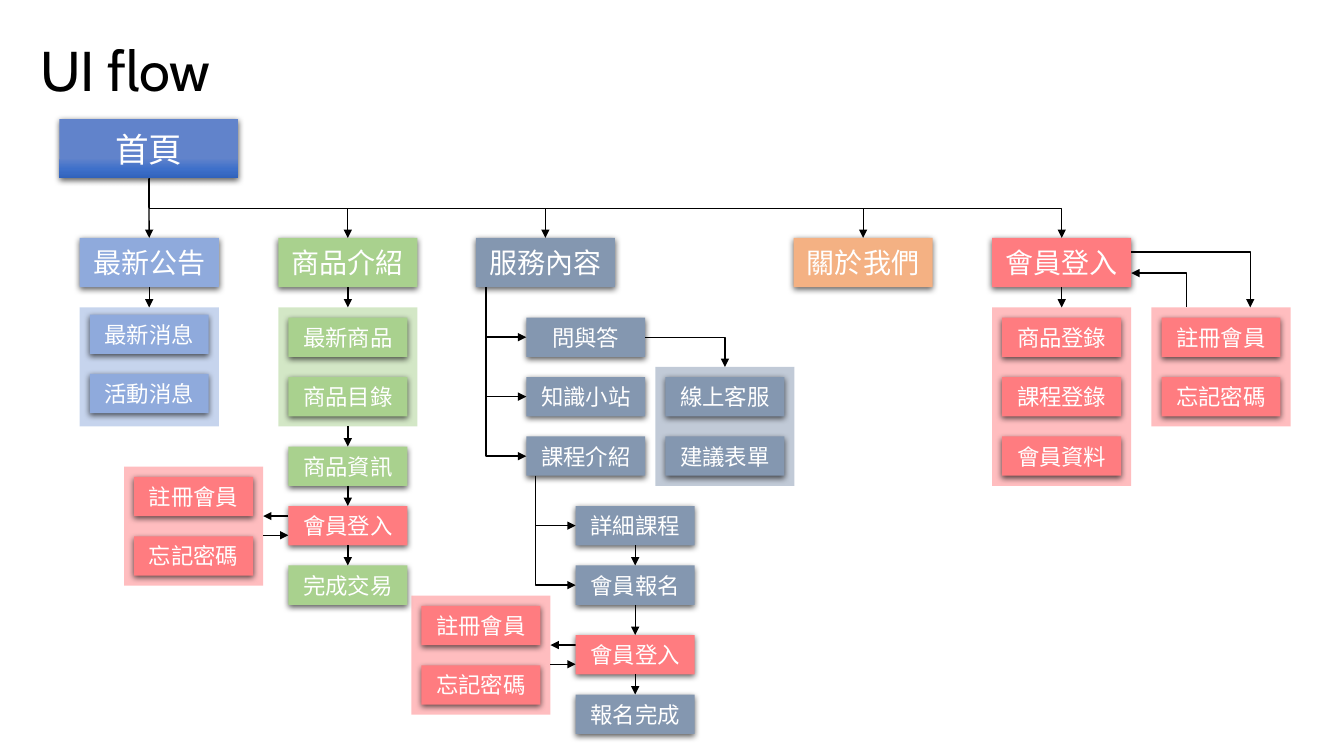
"""Build a site map slide that shows the UI flow of a shop."""
from dataclasses import dataclass

from lxml.etree import SubElement
from pptx import Presentation
from pptx.dml.color import RGBColor
from pptx.enum.shapes import MSO_CONNECTOR, MSO_SHAPE
from pptx.enum.text import MSO_ANCHOR, MSO_AUTO_SIZE, PP_ALIGN
from pptx.oxml.ns import qn
from pptx.util import Inches, Pt


@dataclass(frozen=True)
class Theme:
    """Hold the colours, fonts and type sizes."""
    ink: str = "000000"
    white: str = "FFFFFF"
    blue: str = "8FAADC"
    green: str = "A9D18E"
    slate: str = "8497B0"
    peach: str = "F4B183"
    red: str = "FF7C80"
    home: tuple = ((66, "6183CB"), (84, "3E70CA"), (100, "3062BB"))
    latin: str = "Cabin"
    han: str = "Noto Sans CJK JP"
    title: int = 40
    root: int = 24
    head: int = 20
    chip: int = 16


THEME = Theme()
TOP, BOTTOM = 0, 2
CARD_W, HEAD_H = 1.38, 0.49
CHIP_W, CHIP_H = 1.18, 0.39
STEP, PAD = 0.59, 0.1
HEAD_Y, CARD_Y = 2.36, 3.05
CHIP_Y = CARD_Y + PAD
MEMBER = ("註冊會員", "忘記密碼")


def add_node(parent, tag, **attrs):
    """Append a drawing element to a parent."""
    return SubElement(parent, qn(f"a:{tag}"), {k: str(v) for k, v in attrs.items()})


def add_shade(props, blur, dist, angle, alpha):
    """Append a soft black shadow, with blur and distance in points."""
    shade = add_node(add_node(props, "effectLst"), "outerShdw", blurRad=Pt(blur),
                     dist=Pt(dist), dir=angle * 60000, algn="ctr", rotWithShape=0)
    tint = add_node(shade, "srgbClr", val=THEME.ink)
    add_node(tint, "alpha", val=alpha * 1000)


def set_font(para, size, face, color):
    """Set the font of a whole paragraph."""
    font = para.font
    font.size, font.name = Pt(size), face
    font.color.rgb = RGBColor.from_string(color)
    add_node(para._p.pPr.find(qn("a:defRPr")), "ea", typeface=face)


def add_rect(slide, x, y, w, h, color):
    """Add a plain rectangle without outline."""
    rect = slide.shapes.add_shape(MSO_SHAPE.RECTANGLE, *map(Inches, (x, y, w, h)))
    rect.fill.solid()
    rect.fill.fore_color.rgb = RGBColor.from_string(color)
    rect.line.fill.background()
    return rect


def add_box(slide, text, x, y, w, h, color, size):
    """Add a labelled box with a shadow."""
    box = add_rect(slide, x, y, w, h, color)
    add_shade(box.element.spPr, 4.5, 1.5, 90, 63)
    frame = box.text_frame
    frame.word_wrap, frame.vertical_anchor = False, MSO_ANCHOR.MIDDLE
    frame.text = text
    para = frame.paragraphs[0]
    para.alignment = PP_ALIGN.CENTER
    set_font(para, size, THEME.han, THEME.white)
    return box


def add_head(slide, text, x, color):
    """Add a main section box."""
    return add_box(slide, text, x, HEAD_Y, CARD_W, HEAD_H, color, THEME.head)


def add_chip(slide, text, x, y, color):
    """Add a small page box."""
    return add_box(slide, text, x, y, CHIP_W, CHIP_H, color, THEME.chip)


def add_card(slide, x, y, names, color, pad=PAD):
    """Add a pale panel with a column of page boxes."""
    card = add_rect(slide, x, y, CARD_W, STEP * len(names), color)
    card.shadow.inherit = False
    tint = card.element.spPr.find(qn("a:solidFill"))[0]
    add_node(tint, "alpha", val=50000)
    for i, name in enumerate(names):
        add_chip(slide, name, x + PAD, y + pad + STEP * i, color)
    return card


def style_line(line, width=1, tip="tailEnd"):
    """Give a connector its ink, arrowhead and no shadow."""
    line.line.width = Pt(width)
    line.line.color.rgb = RGBColor.from_string(THEME.ink)
    add_node(line.line._get_or_add_ln(), tip, type="triangle")
    add_node(line.element.spPr, "effectLst")


def add_arrow(slide, start, end):
    """Add a straight arrow between two points."""
    ends = map(Inches, (*start, *end))
    line = slide.shapes.add_connector(MSO_CONNECTOR.STRAIGHT, *ends)
    style_line(line)
    return line


def join_down(slide, *boxes):
    """Join boxes in turn with downward arrows."""
    for upper, lower in zip(boxes, boxes[1:]):
        line = add_arrow(slide, (0, 0), (0, 0))
        line.begin_connect(upper, BOTTOM)
        line.end_connect(lower, TOP)


def add_bend(slide, start, end, down=False, kind=2, width=1, tip="tailEnd"):
    """Add a bent arrow that leaves sideways, or downward on request."""
    ends = map(Inches, (*start, *end))
    line = slide.shapes.add_connector(MSO_CONNECTOR.ELBOW, *ends)
    props = line.element.spPr
    props.find(qn("a:prstGeom")).set("prst", f"bentConnector{kind}")
    if down:
        wide, high = line.width, line.height
        line.left += (wide - high) // 2
        line.top += (high - wide) // 2
        line.width, line.height = high, wide
        frame = props.find(qn("a:xfrm"))
        frame.set("rot", str(270 * 60000))
        frame.set("flipH", "1")
    style_line(line, width, tip)


def add_login(slide, x, y):
    """Add a login box with its member panel on the left."""
    left = x - 1.63
    add_card(slide, left, y - 0.39, MEMBER, THEME.red)
    add_arrow(slide, (x, y + 0.1), (left + CARD_W, y + 0.1))
    add_arrow(slide, (left + CARD_W, y + 0.29), (x, y + 0.29))
    return add_chip(slide, "會員登入", x, y, THEME.red)


def add_title(slide):
    """Fill and place the title."""
    title = slide.shapes.title
    title.left, title.top, title.width, title.height = map(Inches, (0.3, 0.3, 2.21, 0.77))
    frame = title.text_frame
    frame.text = "UI flow"
    frame.word_wrap, frame.vertical_anchor = False, MSO_ANCHOR.TOP
    frame.auto_size = MSO_AUTO_SIZE.SHAPE_TO_FIT_TEXT
    para = frame.paragraphs[0]
    para.alignment = PP_ALIGN.LEFT
    set_font(para, THEME.title, THEME.latin, THEME.ink)
    add_shade(para.runs[0]._r.get_or_add_rPr(), 3, 3, 45, 43)


def add_home(slide):
    """Add the home box with its gradient."""
    home = add_box(slide, "首頁", 0.59, 1.18, 1.77, 0.59, THEME.blue, THEME.root)
    home.fill.gradient()
    home.fill.gradient_angle = 270
    stops = home.element.spPr.find(qn("a:gradFill")).find(qn("a:gsLst"))
    stops.clear()
    for place, color in THEME.home:
        add_node(add_node(stops, "gs", pos=place * 1000), "srgbClr", val=color)
    return home


def add_shop(slide, head):
    """Add the product pages and the purchase steps."""
    card = add_card(slide, 2.76, CARD_Y, ("最新商品", "商品目錄"), THEME.green)
    info = add_chip(slide, "商品資訊", 2.86, 4.43, THEME.green)
    login = add_login(slide, 2.86, 5.02)
    done = add_chip(slide, "完成交易", 2.86, 5.61, THEME.green)
    join_down(slide, head, card, info, login, done)


def add_help(slide):
    """Add the service pages and the course steps."""
    for i, name in enumerate(("問與答", "知識小站", "課程介紹")):
        y = CHIP_Y + STEP * i
        add_chip(slide, name, 5.22, y, THEME.slate)
        add_bend(slide, (4.82, HEAD_Y + HEAD_H), (5.22, y + CHIP_H / 2), down=True)
    add_card(slide, 6.5, 3.64, ("線上客服", "建議表單"), THEME.slate)
    add_bend(slide, (6.4, 3.35), (7.19, 3.64))
    steps = []
    for name, y in (("詳細課程", 5.02), ("會員報名", 5.61)):
        steps.append(add_chip(slide, name, 5.71, y, THEME.slate))
        add_bend(slide, (5.31, 4.72), (5.71, y + CHIP_H / 2), down=True)
    steps.append(add_login(slide, 5.71, 6.3))
    steps.append(add_chip(slide, "報名完成", 5.71, 6.89, THEME.slate))
    join_down(slide, *steps)


def main():
    """Build and save the slide."""
    deck = Presentation()
    deck.slide_width, deck.slide_height = Inches(13.33), Inches(7.5)
    slide = deck.slides.add_slide(deck.slide_layouts[5])
    add_title(slide)
    home = add_home(slide)
    news = add_head(slide, "最新公告", 0.79, THEME.blue)
    shop, _, _, user = [add_head(slide, *item) for item in (
        ("商品介紹", 2.76, THEME.green), ("服務內容", 4.72, THEME.slate),
        ("關於我們", 7.87, THEME.peach), ("會員登入", 9.84, THEME.red))]
    for x in (2.76, 4.72, 7.87, 9.84):
        add_bend(slide, (1.48, 1.77), (x + CARD_W / 2, HEAD_Y), True, 3, 0.5)
    items = add_card(slide, 0.79, CARD_Y, ("最新消息", "活動消息"), THEME.blue, 0.07)
    join_down(slide, home, news, items)
    add_shop(slide, shop)
    add_help(slide)
    pages = ("商品登錄", "課程登錄", "會員資料")
    join_down(slide, user, add_card(slide, 9.84, CARD_Y, pages, THEME.red))
    add_card(slide, 11.42, CARD_Y, MEMBER, THEME.red)
    add_bend(slide, (11.22, 2.5), (12.4, CARD_Y))
    add_bend(slide, (11.22, 2.71), (11.77, CARD_Y), tip="headEnd")
    deck.save("out.pptx")


if __name__ == "__main__":
    main()
